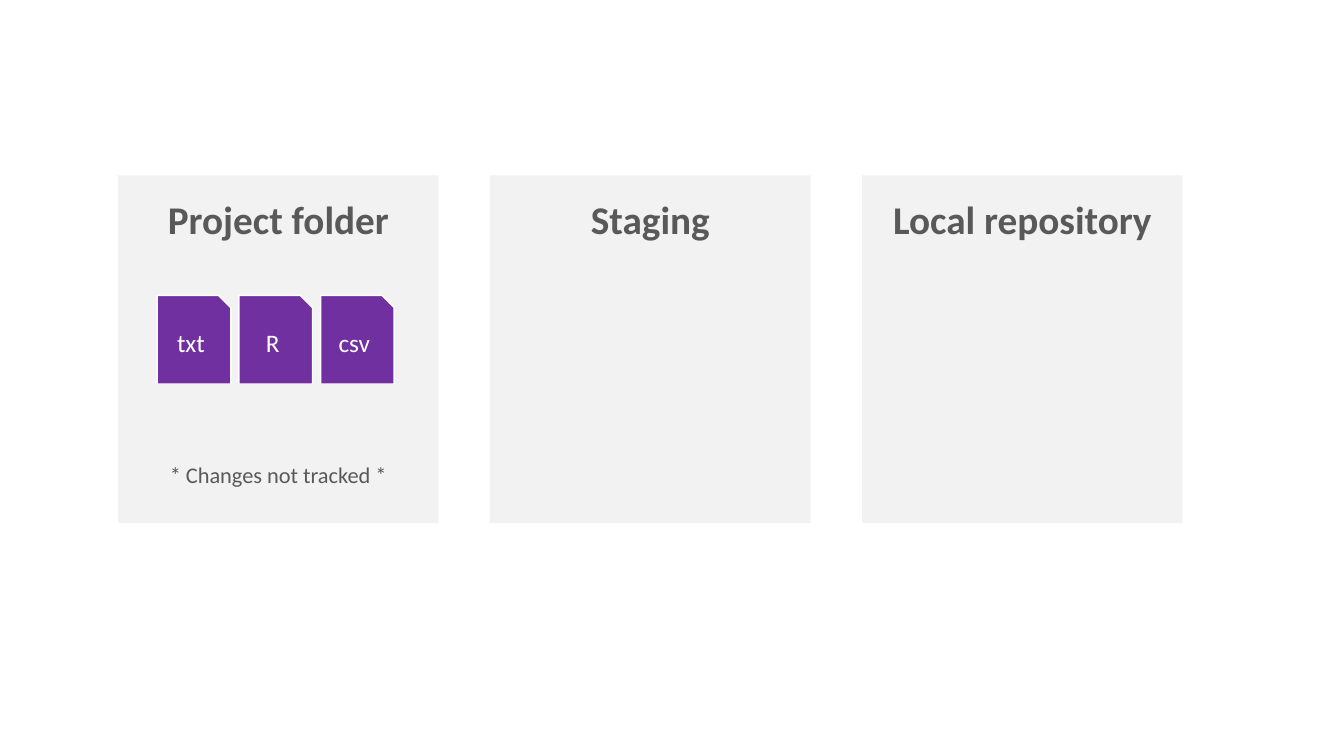
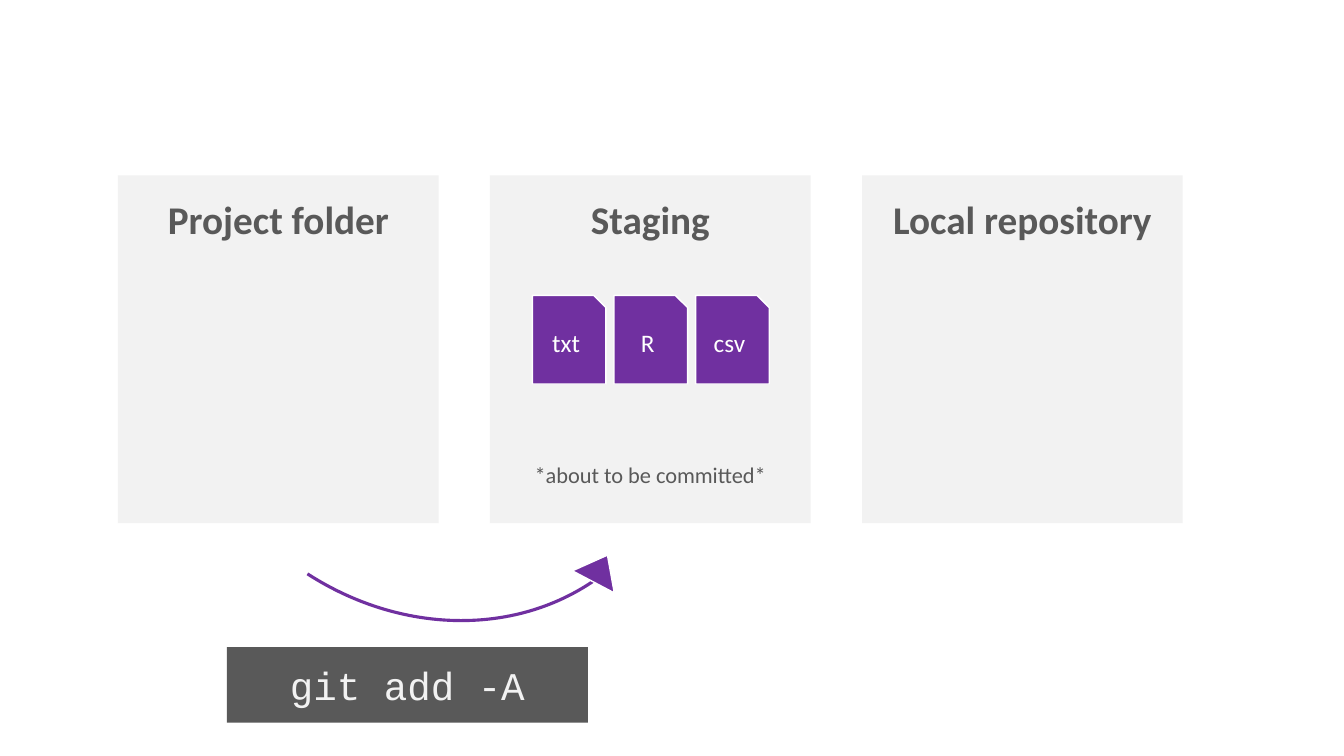
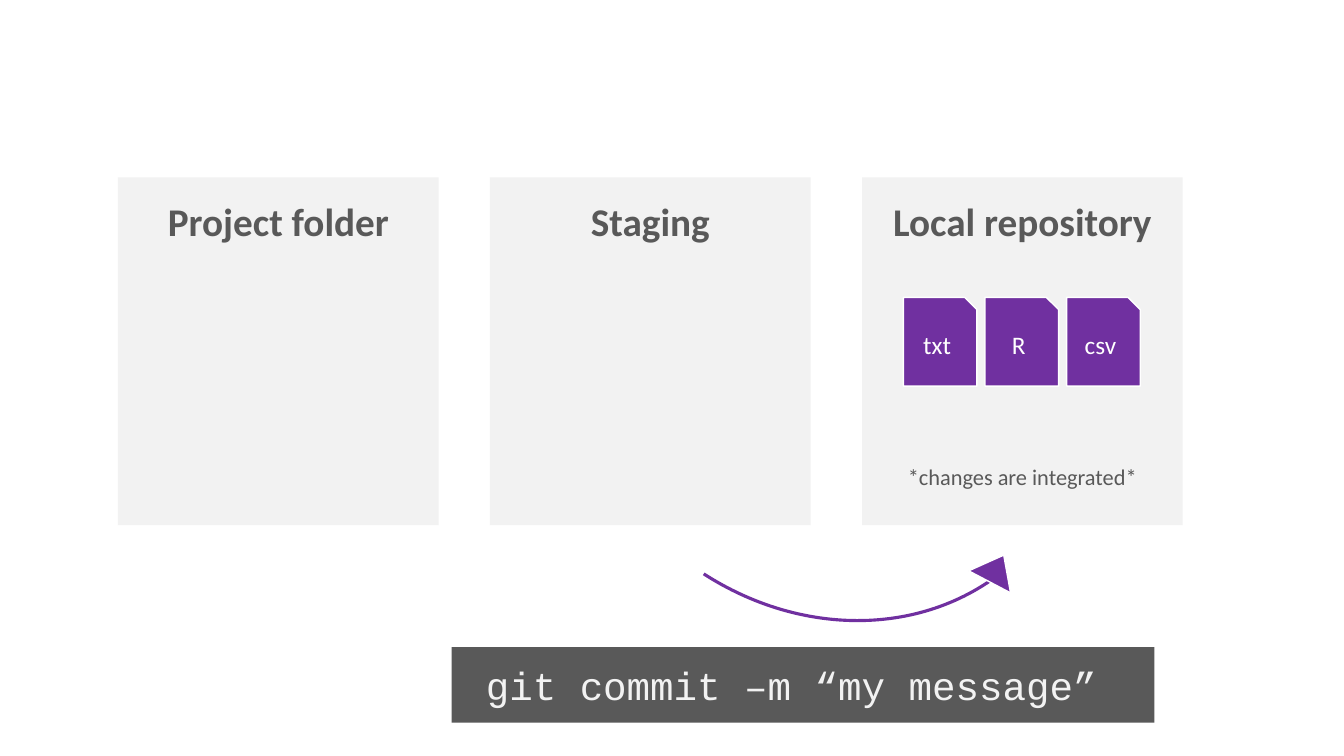
"""Build three slides that follow files from project folder to repository in git."""
from pptx import Presentation
from pptx.dml.color import RGBColor
from pptx.enum.shapes import MSO_SHAPE
from pptx.enum.text import MSO_ANCHOR, PP_ALIGN
from pptx.util import Inches, Pt

RECTANGLE = MSO_SHAPE.RECTANGLE
FILE_SHEET = MSO_SHAPE.SNIP_1_RECTANGLE
ARC = MSO_SHAPE.ARC
TRIANGLE = MSO_SHAPE.ISOSCELES_TRIANGLE
TOP = MSO_ANCHOR.TOP
MIDDLE = MSO_ANCHOR.MIDDLE
CENTER = PP_ALIGN.CENTER

COLORS = {
    "panel": "F2F2F2",
    "dark": "595959",
    "accent": "7030A0",
    "white": "FFFFFF",
}
PANELS = ["Project folder", "Staging", "Local repository"]
PANEL_LEFT, PANEL_STEP, PANEL_WIDTH, PANEL_HEIGHT = 1.17, 3.69, 3.18, 3.45
FILES = ["txt", "R", "csv"]
FILE_STEP, FILE_WIDTH, FILE_HEIGHT = 0.81, 0.73, 0.88
FILE_DROP = 1.19

STAGES = [
    {"panel_top": 1.74, "active": "Project folder", "file_left": 1.56,
     "caption": "* Changes not tracked *"},
    {"panel_top": 1.74, "active": "Staging", "file_left": 5.28,
     "caption": "*about to be committed*",
     "command": "git add -A", "command_left": 2.25, "command_width": 3.58,
     "arc_left": 1.85, "head_left": 5.72},
    {"panel_top": 1.76, "active": "Local repository", "file_left": 8.96,
     "caption": "*changes are integrated*",
     "command": "git commit –m “my message” ", "command_left": 4.48, "command_width": 6.97,
     "arc_left": 5.78, "head_left": 9.65},
]


def add_block(slide, kind, left, top, width, height, fill=None, line=None, weight=1, rotation=0):
    block = slide.shapes.add_shape(kind, Inches(left), Inches(top), Inches(width), Inches(height))
    block.shadow.inherit = False
    block.rotation = rotation
    if fill:
        block.fill.solid()
        block.fill.fore_color.rgb = RGBColor.from_string(COLORS[fill])
    else:
        block.fill.background()
    if line:
        block.line.color.rgb = RGBColor.from_string(COLORS[line])
        block.line.width = Pt(weight)
    else:
        block.line.fill.background()
    return block


def write(block, text, size, color, font="Calibri", bold=False, anchor=MIDDLE, inset=0.05, before=0):
    frame = block.text_frame
    frame.word_wrap = True
    frame.vertical_anchor = anchor
    frame.margin_top = frame.margin_bottom = Inches(inset)
    paragraph = frame.add_paragraph() if frame.text else frame.paragraphs[0]
    paragraph.alignment = CENTER
    paragraph.space_before = Pt(before)
    run = paragraph.add_run()
    run.text = text
    run.font.name = font
    run.font.size = Pt(size)
    run.font.bold = bold
    run.font.color.rgb = RGBColor.from_string(COLORS[color])


deck = Presentation()
deck.slide_width = Inches(13.33)
deck.slide_height = Inches(7.5)

for stage in STAGES:
    slide = deck.slides.add_slide(deck.slide_layouts[6])
    panel_top = stage["panel_top"]

    for column, heading in enumerate(PANELS):
        panel = add_block(slide, RECTANGLE, PANEL_LEFT + column * PANEL_STEP, panel_top,
                          PANEL_WIDTH, PANEL_HEIGHT, fill="panel")
        write(panel, heading, size=28, color="dark", bold=True, anchor=TOP, inset=0.2)
        if heading == stage["active"]:
            write(panel, stage["caption"], size=16, color="dark", anchor=TOP, inset=0.2, before=156)

    for position, extension in enumerate(FILES):
        sheet = add_block(slide, FILE_SHEET, stage["file_left"] + position * FILE_STEP,
                          panel_top + FILE_DROP, FILE_WIDTH, FILE_HEIGHT,
                          fill="accent", line="white")
        write(sheet, extension, size=18, color="white")

    if "command" in stage:
        sweep = add_block(slide, ARC, stage["arc_left"], 0.87, 4.81, 5.45,
                          line="accent", weight=2.25, rotation=133.5)
        sweep.adjustments[0] = 167.53
        sweep.adjustments[1] = 207.83
        add_block(slide, TRIANGLE, stage["head_left"], 5.49, 0.47, 0.3,
                  fill="accent", line="white", rotation=27.8)
        command = add_block(slide, RECTANGLE, stage["command_left"], 6.42,
                            stage["command_width"], 0.75, fill="dark")
        write(command, stage["command"], size=28, color="panel", font="Courier New", inset=0.2)

deck.save("out.pptx")
